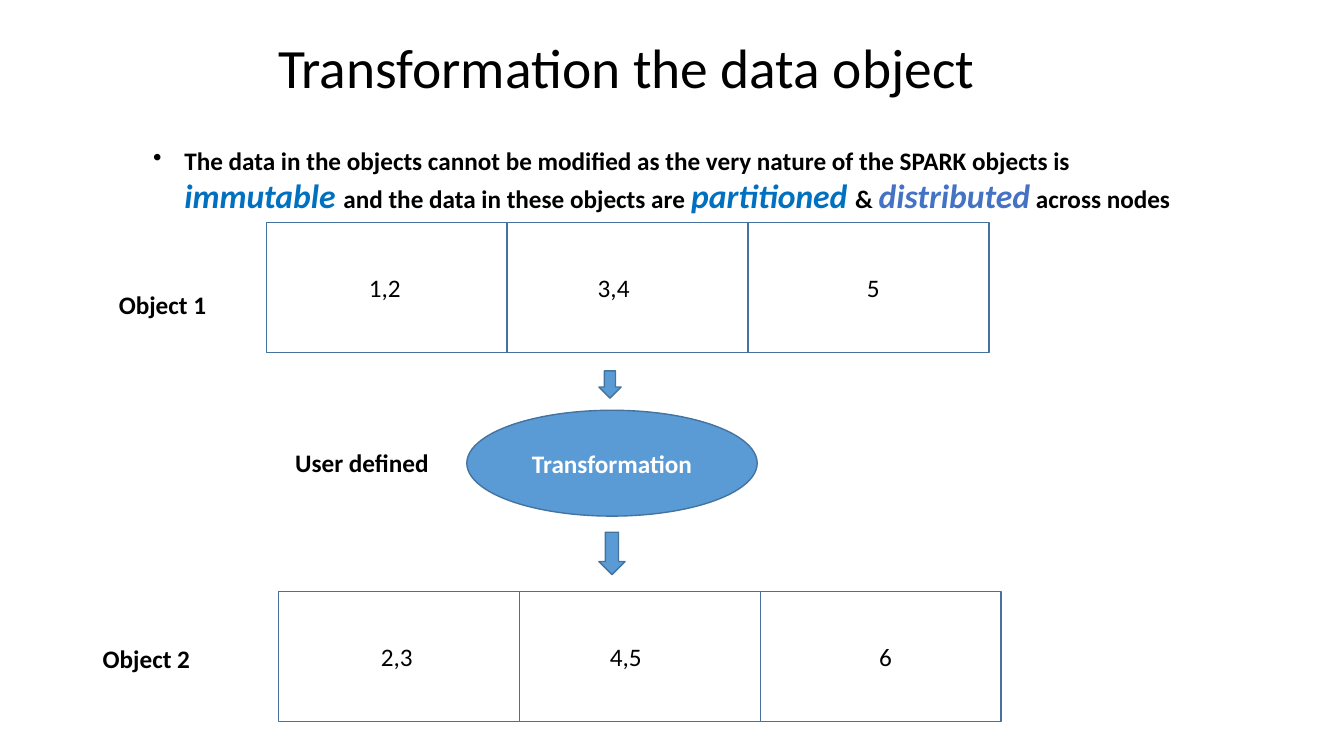
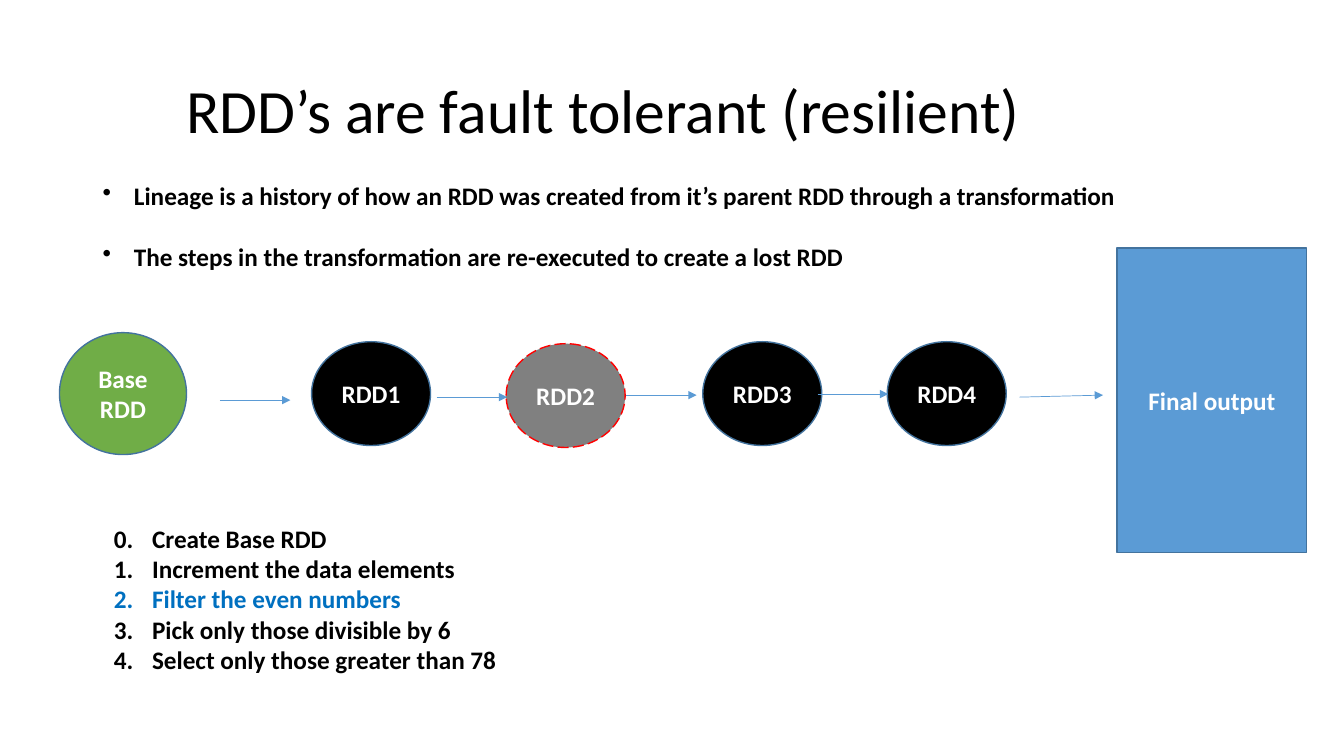
from dataclasses import dataclass

from lxml.etree import SubElement
from pptx import Presentation
from pptx.dml.color import RGBColor
from pptx.enum.dml import MSO_LINE
from pptx.enum.shapes import MSO_CONNECTOR, MSO_SHAPE
from pptx.enum.text import MSO_ANCHOR, PP_ALIGN
from pptx.oxml.ns import qn
from pptx.util import Inches, Pt


@dataclass(frozen=True)
class Theme:
    """Colours, font and type sizes shared by the slides."""
    font: str = "Calibri"
    ink: str = "000000"
    paper: str = "FFFFFF"
    blue: str = "5B9BD5"
    outline: str = "43739E"
    green: str = "70AD47"
    grey: str = "808080"
    lost: str = "FF0000"
    accent: str = "0070C0"
    accent_alt: str = "4472C4"
    body: float = 18
    emphasis: float = 24


THEME = Theme()


def rgb(code):
    """Turn a hex code into a colour."""
    return RGBColor.from_string(code)


def add_run(paragraph, text, size=THEME.body, color=THEME.ink, bold=True, italic=False):
    """Append formatted text to a paragraph."""
    run = paragraph.add_run()
    run.text = text
    font = run.font
    font.name, font.size, font.bold, font.italic = THEME.font, Pt(size), bold, italic
    font.color.rgb = rgb(color)


def add_frame(slide, left, top, width, height, wrap=True):
    """Add an empty text box and return its text frame."""
    box = slide.shapes.add_textbox(Inches(left), Inches(top), Inches(width), Inches(height))
    box.text_frame.word_wrap = wrap
    return box.text_frame


def hang(paragraph, indent, marker=None, **attributes):
    """Give a paragraph a hanging indent and an optional bullet element."""
    properties = paragraph._p.get_or_add_pPr()
    properties.set("marL", str(Inches(indent)))
    properties.set("indent", str(-Inches(indent)))
    if marker:
        SubElement(properties, qn(marker), attributes)


def add_title(slide, text, height, size, indent):
    """Add the slide title, set in from the left."""
    frame = add_frame(slide, 0.92, 0.4, 11.5, height)
    frame.vertical_anchor = MSO_ANCHOR.MIDDLE
    paragraph = frame.paragraphs[0]
    paragraph.line_spacing = 0.9
    paragraph._p.get_or_add_pPr().set("marL", str(Inches(indent)))
    add_run(paragraph, text, size=size, bold=False)


def add_label(slide, text, left, top, width, bold=True):
    """Add a one-line label."""
    frame = add_frame(slide, left, top, width, 0.4, wrap=False)
    add_run(frame.paragraphs[0], text, bold=bold)


def add_bullets(slide, items, left, top, width, height, gap=0):
    """Add bullets, each a list of (text, format) parts, with a gap after each."""
    frame = add_frame(slide, left, top, width, height)
    for index, parts in enumerate(items):
        paragraph = frame.add_paragraph() if index else frame.paragraphs[0]
        paragraph.space_after = Pt(gap)
        hang(paragraph, 0.31, "a:buChar", char="\u2022")
        for text, style in parts:
            add_run(paragraph, text, **style)


def add_steps(slide, steps, left, top, width, height):
    """Add steps numbered from zero, each a (text, colour) pair."""
    frame = add_frame(slide, left, top, width, height)
    for index, (text, color) in enumerate(steps):
        if index:
            paragraph = frame.add_paragraph()
            hang(paragraph, 0.38, "a:buAutoNum", type="arabicPeriod")
        else:  # automatic numbering cannot start at zero
            paragraph = frame.paragraphs[0]
            hang(paragraph, 0.38)
            text = f"0.\t{text}"
        add_run(paragraph, text, color=color)


def add_node(slide, kind, left, top, width, height, text="", fill=None,
             outline=THEME.outline, dash=None):
    """Add an outlined shape with optional fill and centred text."""
    node = slide.shapes.add_shape(kind, Inches(left), Inches(top), Inches(width), Inches(height))
    node.shadow.inherit = False
    if fill:
        node.fill.solid()
        node.fill.fore_color.rgb = rgb(fill)
    else:
        node.fill.background()
    node.line.color.rgb = rgb(outline)
    node.line.width = Pt(1)
    if dash:
        node.line.dash_style = dash
    if text:
        frame = node.text_frame
        frame.word_wrap = True
        frame.vertical_anchor = MSO_ANCHOR.MIDDLE
        frame.paragraphs[0].alignment = PP_ALIGN.CENTER
        add_run(frame.paragraphs[0], text, color=THEME.paper)


def add_arrow(slide, x1, y1, x2, y2):
    """Add a thin arrow between two points."""
    arrow = slide.shapes.add_connector(
        MSO_CONNECTOR.STRAIGHT, Inches(x1), Inches(y1), Inches(x2), Inches(y2))
    arrow.line.color.rgb = rgb(THEME.blue)
    arrow.line.width = Pt(0.5)
    properties = arrow._element.spPr
    SubElement(properties.find(qn("a:ln")), qn("a:tailEnd"), type="triangle")
    SubElement(properties, qn("a:effectLst"))


def add_partitions(slide, values, left, top):
    """Add a row of adjoining partitions with their values."""
    cell_width = 2.39
    placements = ((0.92, 0.52), (0.8, 0.52), (1.08, 0.33))
    for index, (value, (offset, width)) in enumerate(zip(values, placements)):
        cell_left = left + index * cell_width
        add_node(slide, MSO_SHAPE.RECTANGLE, cell_left, top, cell_width, 1.29)
        add_label(slide, value, cell_left + offset, top + 0.44, width, bold=False)


def build_transformation(slide):
    """Show one object being transformed into another."""
    add_title(slide, "Transformation the data object", 0.59, 39.6, 1.74)
    add_partitions(slide, ("1,2", "3,4", "5"), 2.64, 2.21)
    add_partitions(slide, ("2,3", "4,5", "6"), 2.76, 5.87)
    for top, width, height in ((3.68, 0.22, 0.27), (5.28, 0.26, 0.42)):
        add_node(slide, MSO_SHAPE.DOWN_ARROW, 5.94, top, width, height, fill=THEME.blue)
    add_node(slide, MSO_SHAPE.OVAL, 4.63, 4.07, 2.88, 1.05, "Transformation", THEME.blue)
    add_label(slide, "User defined", 2.83, 4.39, 1.6)
    add_label(slide, "Object 2", 0.92, 6.33, 1.13)
    add_label(slide, "Object 1", 1.08, 2.82, 1.13)
    strong = {"size": THEME.emphasis, "color": THEME.accent, "italic": True}
    add_bullets(slide, [[
        ("The data in the objects cannot be modified as the very nature of the "
         "SPARK objects is ", {}),
        ("immutable ", strong),
        ("and the data in these objects are ", {}),
        ("partitioned ", strong),
        ("& ", {}),
        ("distributed", {**strong, "color": THEME.accent_alt}),
        (" across nodes", {}),
    ]], 1.42, 1.39, 10.7, 0.81)


def build_lineage(slide):
    """Show the lineage of RDDs from the base to the final output."""
    add_title(slide, "RDD\u2019s are fault tolerant (resilient)", 1.45, 44, 0.83)
    add_node(slide, MSO_SHAPE.OVAL, 0.59, 3.3, 1.26, 1.21, "Base RDD", THEME.green)
    for name, left in (("RDD1", 3.09), ("RDD3", 6.97), ("RDD4", 8.8)):
        add_node(slide, MSO_SHAPE.OVAL, left, 3.39, 1.18, 1.03, name, THEME.ink)
    add_node(slide, MSO_SHAPE.RECTANGLE, 11.08, 2.46, 1.88, 3.02, "Final output", THEME.blue)
    add_bullets(slide, [
        [("Lineage is a history of how an RDD was created from it\u2019s parent RDD "
          "through a transformation", {})],
        [("The steps in the transformation are re-executed to create a lost RDD", {})],
    ], 0.92, 1.74, 11.02, 1.01, gap=22)
    for start, y in ((2.18, 3.97), (4.33, 3.94), (6.21, 3.92), (8.11, 3.91)):
        add_arrow(slide, start, y, start + 0.7, y)
    add_arrow(slide, 10.11, 3.94, 10.94, 3.92)
    add_node(slide, MSO_SHAPE.OVAL, 5.02, 3.41, 1.18, 1.03, "RDD2", THEME.grey,
             outline=THEME.lost, dash=MSO_LINE.LONG_DASH)
    add_steps(slide, [
        ("Create Base RDD", THEME.ink),
        ("Increment the data elements", THEME.ink),
        ("Filter the even numbers", THEME.accent),
        ("Pick only those divisible by 6", THEME.ink),
        ("Select only those greater than 78", THEME.ink),
    ], 1.03, 5.14, 9.58, 1.62)


def main():
    """Build and save the presentation."""
    deck = Presentation()
    deck.slide_width, deck.slide_height = Inches(13.33), Inches(7.5)
    blank = deck.slide_layouts[6]
    for build in (build_transformation, build_lineage):
        build(deck.slides.add_slide(blank))
    deck.save("out.pptx")


main()
